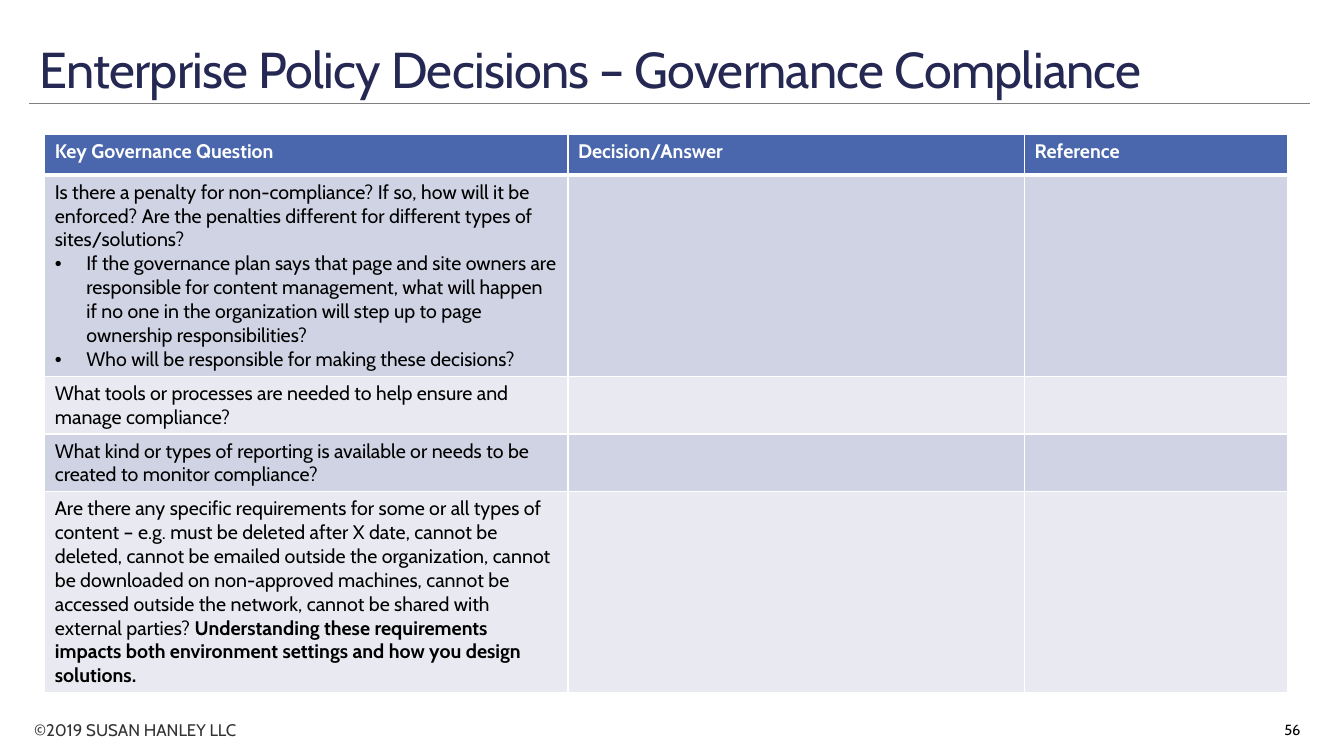
from lxml import etree
from pptx import Presentation
from pptx.dml.color import RGBColor
from pptx.enum.shapes import MSO_CONNECTOR
from pptx.enum.text import MSO_ANCHOR, MSO_AUTO_SIZE, PP_ALIGN
from pptx.oxml.ns import qn
from pptx.util import Pt

STRAIGHT = MSO_CONNECTOR.STRAIGHT
TOP, MIDDLE, BOTTOM = MSO_ANCHOR.TOP, MSO_ANCHOR.MIDDLE, MSO_ANCHOR.BOTTOM
LEFT, RIGHT = PP_ALIGN.LEFT, PP_ALIGN.RIGHT
NO_AUTOFIT = MSO_AUTO_SIZE.NONE

FONT = "Cabin"
NAVY = RGBColor(0x24, 0x28, 0x52)
BLUE = RGBColor(0x4A, 0x66, 0xAC)
BAND_DARK = RGBColor(0xD0, 0xD3, 0xE3)
BAND_LIGHT = RGBColor(0xE9, 0xEA, 0xF1)
GRAY = RGBColor(0x80, 0x80, 0x80)
CHARCOAL = RGBColor(0x33, 0x33, 0x33)
BLACK = RGBColor(0, 0, 0)
WHITE = RGBColor(0xFF, 0xFF, 0xFF)

BULLET_INDENT = 22.5
COLUMN_WIDTHS = (373.7, 326.2, 187.9)
HEADINGS = ("Key Governance Question", "Decision/Answer", "Reference")
# Each question: row height, then paragraphs of (bulleted, ((text, bold), ...))
QUESTIONS = (
    (143.2, (
        (False, (("Is there a penalty for non-compliance? If so, how will it be enforced? "
                  "Are the penalties different for different types of sites/solutions?", False),)),
        (True, (("If the governance plan says that page and site owners are responsible for "
                 "content management, what will happen if no one in the organization will "
                 "step up to page ownership responsibilities?", False),)),
        (True, (("Who will be responsible for making these decisions?", False),)),
    )),
    (41, ((False, (("What tools or processes are needed to help ensure and manage "
                    "compliance?", False),)),)),
    (41, ((False, (("What kind or types of reporting is available or needs to be created "
                    "to monitor compliance?", False),)),)),
    (143.2, ((False, (
        ("Are there any specific requirements for some or all types of content – e.g. must be "
         "deleted after X date, cannot be deleted, cannot be emailed outside the organization, "
         "cannot be downloaded on non-approved machines, cannot be accessed outside the network, "
         "cannot be shared with external parties? ", False),
        ("Understanding these requirements impacts both environment settings and how you "
         "design solutions.", True),
    )),)),
)


def add_run(paragraph, text, size, color, bold=False):
    run = paragraph.add_run()
    run.text = text
    run.font.name = FONT
    run.font.size = Pt(size)
    run.font.bold = bold
    run.font.color.rgb = color
    return run


def add_title(slide, left, top, width, height):
    """Fill the title placeholder and rule a line along its bottom edge."""
    title = slide.shapes.title
    title.left, title.top, title.width, title.height = map(Pt, (left, top, width, height))
    frame = title.text_frame
    frame.word_wrap = True
    frame.auto_size = NO_AUTOFIT
    frame.vertical_anchor = BOTTOM
    paragraph = frame.paragraphs[0]
    paragraph.alignment = LEFT
    paragraph.line_spacing = 0.85
    run = add_run(paragraph, "Enterprise Policy Decisions – Governance Compliance", 36, NAVY)
    run.font._element.set("spc", "-50")

    bottom = Pt(top + height)
    rule = slide.shapes.add_connector(STRAIGHT, Pt(left), bottom, Pt(left + width), bottom)
    rule.line.color.rgb = GRAY
    rule.line.width = Pt(0.5)
    etree.SubElement(rule._element.spPr, qn("a:effectLst"))


def add_label(slide, box, text, size, color, alignment, anchor):
    frame = slide.shapes.add_textbox(*map(Pt, box)).text_frame
    frame.word_wrap = True
    frame.vertical_anchor = anchor
    frame.paragraphs[0].alignment = alignment
    add_run(frame.paragraphs[0], text, size, color)


def style_cell(cell, fill, top_width, bottom_width):
    """Give the cell white borders and a solid fill."""
    properties = cell._tc.get_or_add_tcPr()
    for side, width in (("L", 1), ("R", 1), ("T", top_width), ("B", bottom_width)):
        border = etree.SubElement(properties, qn(f"a:ln{side}"), w=str(Pt(width)))
        solid = etree.SubElement(border, qn("a:solidFill"))
        etree.SubElement(solid, qn("a:srgbClr"), val=str(WHITE))
    cell.fill.solid()
    cell.fill.fore_color.rgb = fill


def fill_question(cell, paragraphs):
    frame = cell.text_frame
    for index, (bulleted, runs) in enumerate(paragraphs):
        paragraph = frame.add_paragraph() if index else frame.paragraphs[0]
        paragraph.level = 1
        indent = Pt(BULLET_INDENT) if bulleted else 0
        properties = paragraph._p.get_or_add_pPr()
        properties.set("marL", str(indent))
        properties.set("indent", str(-indent))
        if bulleted:
            etree.SubElement(properties, qn("a:buFont"), typeface="Arial")
            etree.SubElement(properties, qn("a:buChar"), char="•")
        for text, bold in runs:
            add_run(paragraph, text, 14, BLACK, bold)


def add_question_table(slide, left, top, header_height):
    heights = [header_height] + [height for height, _ in QUESTIONS]
    table = slide.shapes.add_table(
        len(heights), len(HEADINGS), Pt(left), Pt(top),
        Pt(sum(COLUMN_WIDTHS)), Pt(sum(heights))).table
    for column, width in zip(table.columns, COLUMN_WIDTHS):
        column.width = Pt(width)
    for index, (row, height) in enumerate(zip(table.rows, heights)):
        row.height = Pt(height)
        fill = BLUE if index == 0 else (BAND_DARK if index % 2 else BAND_LIGHT)
        for cell in row.cells:
            style_cell(cell, fill, 3 if index == 1 else 1, 3 if index == 0 else 1)
    for column, heading in enumerate(HEADINGS):
        add_run(table.cell(0, column).text_frame.paragraphs[0], heading, 14, WHITE, True)
    for row, (_, paragraphs) in enumerate(QUESTIONS, start=1):
        fill_question(table.cell(row, 0), paragraphs)


def add_footer(slide, left, right):
    add_label(slide, (left, 510.5, 202.3, 21.6), "©2019 SUSAN HANLEY LLC",
              12, CHARCOAL, LEFT, TOP)
    number_width = 103
    add_label(slide, (right - number_width, 506.9, number_width, 28.8), "56",
              10.5, BLACK, RIGHT, MIDDLE)


def main():
    presentation = Presentation()
    presentation.slide_width, presentation.slide_height = Pt(960), Pt(540)
    slide = presentation.slides.add_slide(presentation.slide_layouts[5])
    add_title(slide, 20.9, 13.7, 915.1, 60.5)
    add_question_table(slide, 32, 96, 29.2)
    add_footer(slide, 17.3, 936)
    presentation.save("out.pptx")


if __name__ == "__main__":
    main()
